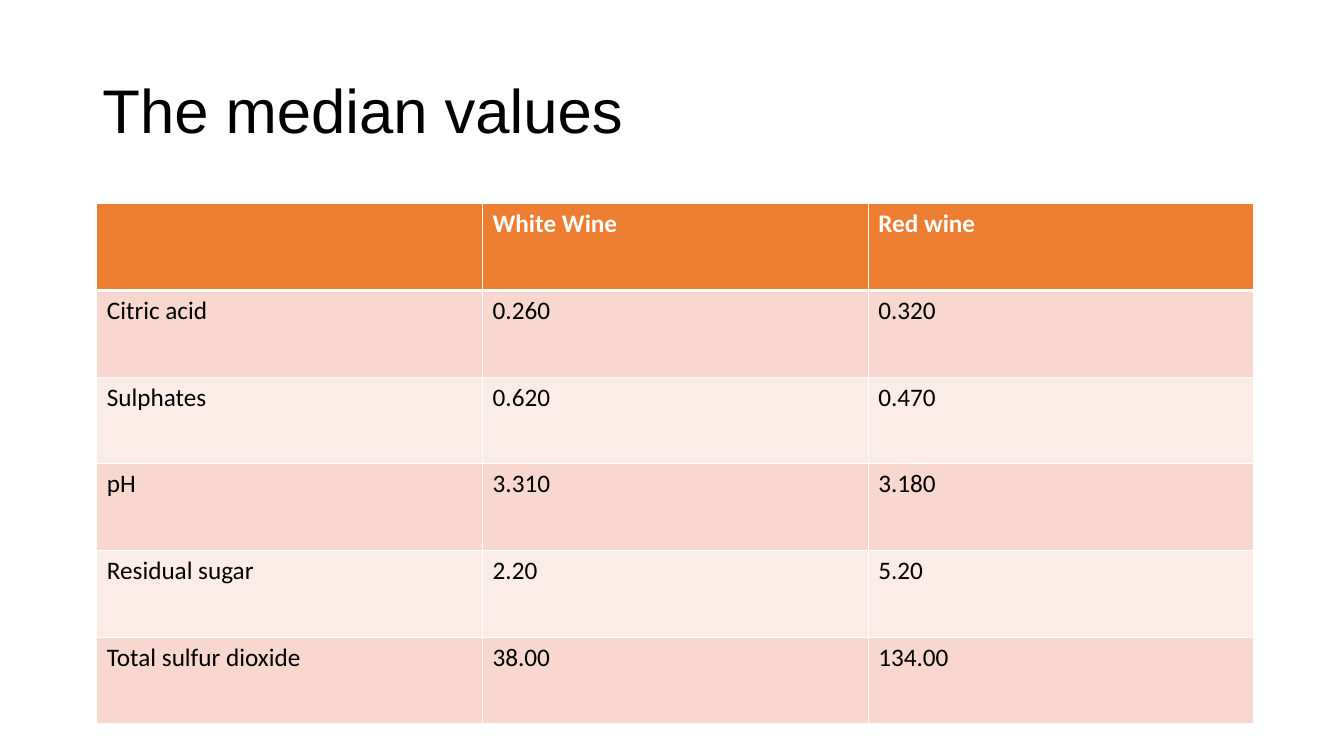
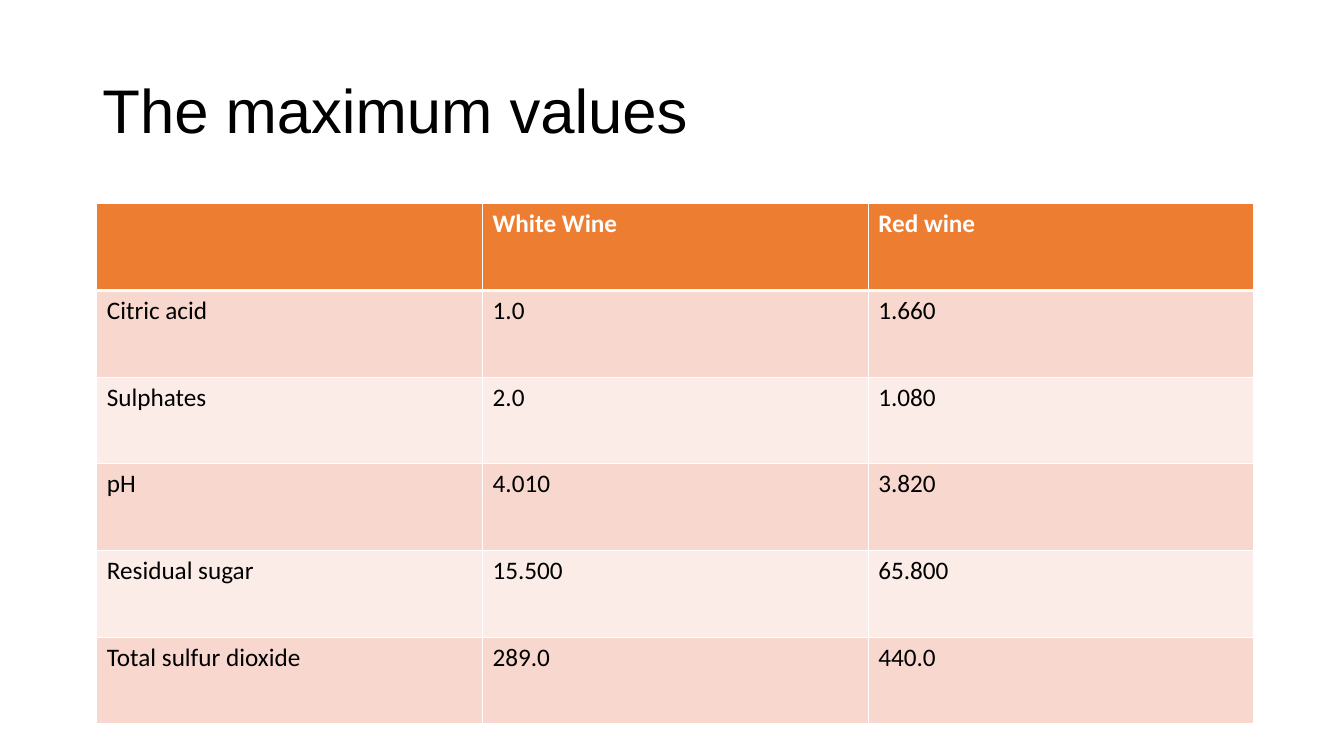
from dataclasses import dataclass

from lxml import etree
from pptx import Presentation
from pptx.dml.color import RGBColor
from pptx.enum import text
from pptx.oxml import ns
from pptx.util import Pt

HUES = {
    "head": "ED7D31",
    "odd": "F8D7CE",
    "even": "FCECE8",
    "rule": "FFFFFF",
    "light": "FFFFFF",
    "dark": "000000",
}
HEADS = ("", "White Wine", "Red wine")
TRAITS = ("Citric acid", "Sulphates", "pH", "Residual sugar", "Total sulfur dioxide")
COL, ROW = 275.52, 61.92
THIN, THICK = 1, 3


@dataclass(frozen=True)
class Page:
    title: str
    white: tuple[str, ...]
    red: tuple[str, ...]


PAGES = (
    Page(
        "The median values",
        ("0.260", "0.620", "3.310", "2.20", "38.00"),
        ("0.320", "0.470", "3.180", "5.20", "134.00"),
    ),
    Page(
        "The maximum values",
        ("1.0", "2.0", "4.010", "15.500", "289.0"),
        ("1.660", "1.080", "3.820", "65.800", "440.0"),
    ),
)


def tint(name: str) -> RGBColor:
    return RGBColor.from_string(HUES[name])


def style(font, face: str, size: float, hue: str, bold: bool = False) -> None:
    font.name = face
    font.size = Pt(size)
    font.bold = bold
    font.color.rgb = tint(hue)


def edge(cell, side: str, width: float) -> None:
    props = cell._tc.get_or_add_tcPr()
    line = etree.SubElement(props, ns.qn(f"a:ln{side}"), w=str(Pt(width)))
    fill = etree.SubElement(line, ns.qn("a:solidFill"))
    etree.SubElement(fill, ns.qn("a:srgbClr"), val=HUES["rule"])


def paint(cell, label: str, row: int) -> None:
    head = row == 0
    edge(cell, "L", THIN)
    edge(cell, "R", THIN)
    edge(cell, "T", THICK if row == 1 else THIN)
    edge(cell, "B", THICK if head else THIN)
    cell.fill.solid()
    cell.fill.fore_color.rgb = tint("head" if head else "odd" if row % 2 else "even")
    cell.text = label
    para = cell.text_frame.paragraphs[0]
    style(para.font, "Calibri", 18, "light" if head else "dark", head)


def add_title(slide, label: str) -> None:
    title = slide.shapes.title
    title.left, title.top = Pt(66), Pt(28.8)
    title.width, title.height = Pt(828), Pt(104.4)
    frame = title.text_frame
    frame.text = label
    frame.vertical_anchor = text.MSO_ANCHOR.MIDDLE
    para = frame.paragraphs[0]
    para.alignment = text.PP_ALIGN.LEFT
    para.line_spacing = 0.9
    style(para.font, "Arial", 44, "dark")


def add_grid(slide, page: Page) -> None:
    rows = [HEADS, *zip(TRAITS, page.white, page.red)]
    count, span = len(rows), len(HEADS)
    grid = slide.shapes.add_table(
        count, span, Pt(69.2), Pt(145.6), Pt(COL * span), Pt(ROW * count)
    ).table
    for col in grid.columns:
        col.width = Pt(COL)
    for line in grid.rows:
        line.height = Pt(ROW)
    for r, labels in enumerate(rows):
        for c, label in enumerate(labels):
            paint(grid.cell(r, c), label, r)


def main() -> None:
    deck = Presentation()
    deck.slide_width, deck.slide_height = Pt(960), Pt(540)
    for page in PAGES:
        slide = deck.slides.add_slide(deck.slide_layouts[5])
        add_title(slide, page.title)
        add_grid(slide, page)
    deck.save("out.pptx")


if __name__ == "__main__":
    main()
